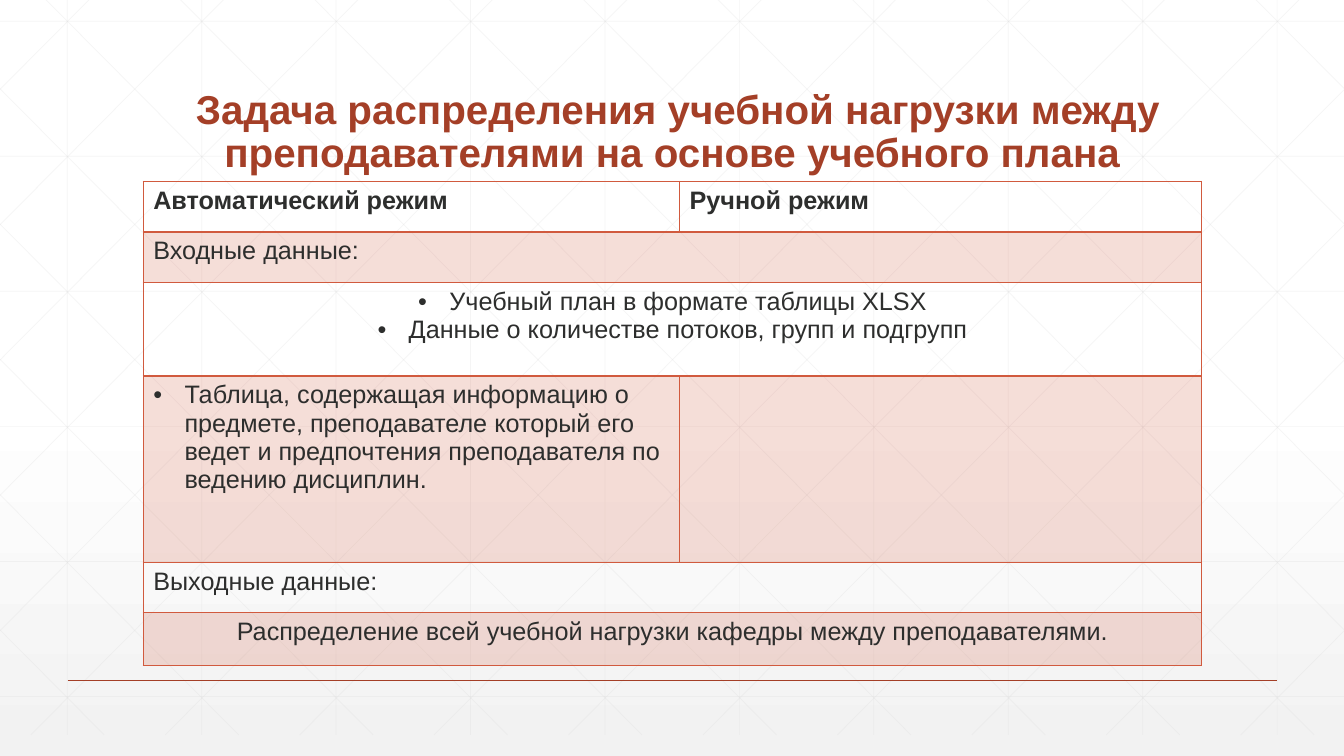
import copy
from dataclasses import dataclass

import pptx
import pptx.dml.color
import pptx.enum.shapes
import pptx.enum.text
import pptx.oxml
import pptx.oxml.ns
import pptx.util
from lxml import etree

Inches = pptx.util.Inches
Pt = pptx.util.Pt
RGBColor = pptx.dml.color.RGBColor
PP_ALIGN = pptx.enum.text.PP_ALIGN
qn = pptx.oxml.ns.qn


@dataclass(frozen=True)
class Theme:
    font: str = "Arial"
    title_size: float = 28.8
    table_size: float = 18
    white: str = "FFFFFF"
    shade: str = "F2F2F2"
    grid: str = "D9D9D9"
    accent: str = "A43F27"
    table: str = "D15A3E"
    text: str = "2D2E2D"
    grid_opacity: int = 25
    band_opacity: int = 20


THEME = Theme()
WIDTH, HEIGHT = 13.33, 7.5
LEFT, CENTER = PP_ALIGN.LEFT, PP_ALIGN.CENTER

TITLE = (" Задача распределения учебной нагрузки между "
         "преподавателями на основе учебного плана")
COLUMN_WIDTHS = [5.32, 5.18]
# Each row: height, shaded, bulleted, alignment, cells (one cell spans the row)
ROWS = [
    (0.5, False, False, LEFT, ["Автоматический режим", "Ручной режим"]),
    (0.5, True, False, LEFT, ["Входные данные:"]),
    (0.93, False, True, CENTER, ["Учебный план в формате таблицы XLSX\n"
                                 "Данные о количестве потоков, групп и подгрупп"]),
    (1.85, True, True, LEFT, ["Таблица, содержащая информацию о предмете, преподавателе который "
                              "его ведет и предпочтения преподавателя по ведению дисциплин.", ""]),
    (0.5, False, False, LEFT, ["Выходные данные:"]),
    (0.52, True, False, CENTER, ["Распределение всей учебной нагрузки кафедры между преподавателями."]),
]


# Shared helpers
def set_opacity(element, percent):
    color = next(element.iter(qn("a:srgbClr")))
    etree.SubElement(color, qn("a:alpha")).set("val", str(percent * 1000))


def add_line(slide, start, end, color, width, opacity=100):
    line = slide.shapes.add_connector(pptx.enum.shapes.MSO_CONNECTOR.STRAIGHT,
                                      *(Inches(value) for value in (*start, *end)))
    line.line.color.rgb = RGBColor.from_string(color)
    line.line.width = Pt(width)
    properties = line.element.find(qn("p:spPr"))
    if opacity < 100:
        set_opacity(properties, opacity)
    etree.SubElement(properties, qn("a:effectLst"))


def format_runs(paragraph, size, color, bold):
    for run in paragraph.runs:
        run.font.name = THEME.font
        run.font.size = Pt(size)
        run.font.bold = bold
        run.font.color.rgb = RGBColor.from_string(color)


# Background: vertical gradient and line pattern
def fill_background(slide):
    fill = slide.background.fill
    fill.gradient()
    fill.gradient_angle = 270
    stops = next(slide.element.iter(qn("a:gsLst")))
    stops.insert(1, copy.deepcopy(stops[0]))
    for stop, position, color in zip(fill.gradient_stops, (0, 0.53, 1),
                                     (THEME.white, THEME.white, THEME.shade)):
        stop.position = position
        stop.color.rgb = RGBColor.from_string(color)


def draw_grid(slide, top, bottom):
    def grid_line(start, end):
        add_line(slide, start, end, THEME.grid, 0.5, THEME.grid_opacity)

    def diagonal(top_x, run):
        def point(x):
            x = min(max(x, 0), WIDTH)
            return x, top + (x - top_x) / run * (bottom - top)
        grid_line(point(top_x), point(top_x + run))

    step, run = 4 / 3, 7.45
    for index in range(10):
        x = step * (index + 0.5)
        grid_line((x, top), (x, bottom))
    for index in range(6):
        y = 0.21 + 1.34 * index
        grid_line((0, y), (WIDTH, y))
    for index in range(15):
        diagonal(0.25 + step * (index - 5), run)
        diagonal(1.09 + step * index, -run)


# Title
def add_title(slide, left, top, width, height):
    box = slide.shapes.add_textbox(*(Inches(value) for value in (left, top, width, height)))
    frame = box.text_frame
    frame.word_wrap = True
    frame.vertical_anchor = pptx.enum.text.MSO_ANCHOR.BOTTOM
    frame.text = TITLE
    paragraph = frame.paragraphs[0]
    paragraph.alignment = CENTER
    paragraph.line_spacing = 0.9
    format_runs(paragraph, THEME.title_size, THEME.accent, True)


# Table
def set_borders(cell, bottom_width):
    properties = cell._tc.get_or_add_tcPr()
    for index, (side, width) in enumerate((("L", 1), ("R", 1), ("T", 1), ("B", bottom_width))):
        border = pptx.oxml.parse_xml(
            f'<a:ln{side} {pptx.oxml.ns.nsdecls("a")} w="{Pt(width)}"><a:solidFill>'
            f'<a:srgbClr val="{THEME.table}"/></a:solidFill></a:ln{side}>')
        properties.insert(index, border)


def add_bullet(paragraph):
    properties = paragraph._p.get_or_add_pPr()
    properties.set("marL", str(Inches(0.31)))
    properties.set("indent", str(Inches(-0.31)))
    etree.SubElement(properties, qn("a:buFont")).set("typeface", THEME.font)
    etree.SubElement(properties, qn("a:buChar")).set("char", "•")


def fill_cell(cell, text, bulleted, alignment, bold):
    cell.text_frame.text = text
    for paragraph in cell.text_frame.paragraphs:
        paragraph.alignment = alignment
        if bulleted and text:
            add_bullet(paragraph)
        format_runs(paragraph, THEME.table_size, THEME.text, bold)


def add_mode_table(slide, left, top):
    total_height = sum(row[0] for row in ROWS)
    table = slide.shapes.add_table(len(ROWS), len(COLUMN_WIDTHS), Inches(left), Inches(top),
                                   Inches(sum(COLUMN_WIDTHS)), Inches(total_height)).table
    table.first_row = table.horz_banding = False
    for column, width in zip(table.columns, COLUMN_WIDTHS):
        column.width = Inches(width)
    for index, (height, shaded, bulleted, alignment, texts) in enumerate(ROWS):
        header = index == 0
        table.rows[index].height = Inches(height)
        for cell in table.rows[index].cells:
            if shaded:
                cell.fill.solid()
                cell.fill.fore_color.rgb = RGBColor.from_string(THEME.table)
                set_opacity(cell._tc, THEME.band_opacity)
            else:
                cell.fill.background()
            set_borders(cell, 2 if header else 1)
        if len(texts) == 1:
            table.cell(index, 0).merge(table.cell(index, 1))
        for column, text in enumerate(texts):
            fill_cell(table.cell(index, column), text, bulleted, alignment, header)


def main():
    presentation = pptx.Presentation()
    presentation.slide_width = Inches(WIDTH)
    presentation.slide_height = Inches(HEIGHT)
    slide = presentation.slides.add_slide(presentation.slide_layouts[6])
    fill_background(slide)
    draw_grid(slide, -0.21, 7.29)
    add_line(slide, (0.67, 6.75), (12.67, 6.75), THEME.accent, 1)
    add_title(slide, 1.42, 0.55, 10.5, 1.25)
    add_mode_table(slide, 1.42, 1.8)
    presentation.save("out.pptx")


if __name__ == "__main__":
    main()
